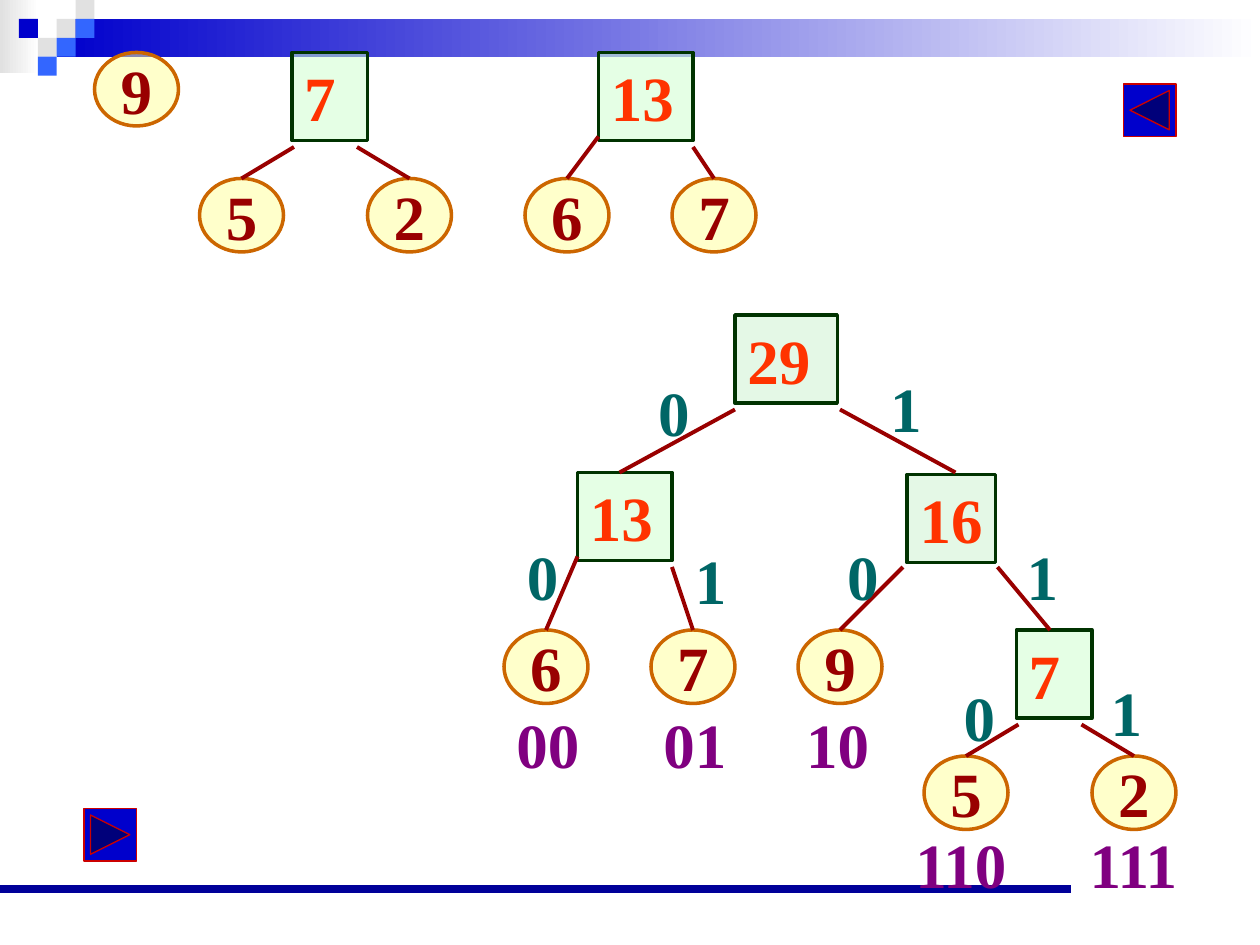
from lxml import etree
from pptx import Presentation
from pptx import util as u
from pptx.dml.color import RGBColor
from pptx.enum import shapes, text
from pptx.oxml import ns

WHITE = RGBColor(0xFF, 0xFF, 0xFF)
PALE = RGBColor(0xE1, 0xE1, 0xE1)
BLUE = RGBColor(0x00, 0x00, 0xCC)
SKY = RGBColor(0x33, 0x66, 0xFF)
NAVY = RGBColor(0x00, 0x00, 0x99)
CREAM = RGBColor(0xFF, 0xFF, 0x99)
AMBER = RGBColor(0xCC, 0x66, 0x00)
MINT = RGBColor(0xCC, 0xFF, 0xCC)
SAGE = RGBColor(0xCA, 0xF2, 0xCE)
PINE = RGBColor(0x00, 0x33, 0x00)
WINE = RGBColor(0x99, 0x00, 0x00)
RED = RGBColor(0xCC, 0x00, 0x00)
FLAME = RGBColor(0xFF, 0x33, 0x00)
TEAL = RGBColor(0x00, 0x66, 0x66)
PLUM = RGBColor(0x80, 0x00, 0x80)

FONT = {"name": "Times New Roman", "size": u.Pt(36), "bold": True}
FIT = text.MSO_AUTO_SIZE.SHAPE_TO_FIT_TEXT
KIND = shapes.MSO_SHAPE

deck = Presentation()
deck.slide_width, deck.slide_height = u.Inches(10), u.Inches(7.5)
slide = deck.slides.add_slide(deck.slide_layouts[6])
cell = deck.slide_width / 120


def draw(kind, spot, fill, edge=None, width=2, alpha=None):
    item = slide.shapes.add_shape(kind, *[round(n * cell) for n in spot])
    item.shadow.inherit = False
    item.fill.solid()
    item.fill.fore_color.rgb = fill
    if alpha:
        tint = item._element.spPr.find(".//" + ns.qn("a:srgbClr"))
        etree.SubElement(tint, ns.qn("a:alpha"), val=str(alpha * 1000))
    if edge is None:
        item.line.fill.background()
    else:
        item.line.color.rgb = edge
        item.line.width = u.Pt(width)
    return item


def write(item, words, ink, **form):
    frame = item.text_frame
    for key, val in form.items():
        setattr(frame, key, val)
    para = frame.paragraphs[0]
    mid = form.get("vertical_anchor") == text.MSO_ANCHOR.MIDDLE
    para.alignment = text.PP_ALIGN.CENTER if mid else text.PP_ALIGN.LEFT
    run = para.add_run()
    run.text = words
    for key, val in FONT.items():
        setattr(run.font, key, val)
    run.font.color.rgb = ink


for spot, tone in (((0, 0, 3.7, 7), PALE), ((5.4, 1.8, 114.6, 3.6), BLUE)):
    band = draw(KIND.RECTANGLE, spot, tone)
    band.fill.gradient()
    band.fill.gradient_angle = 0
    for stop, hue, place in zip(band.fill.gradient_stops, (tone, WHITE), (0, 1)):
        stop.color.rgb = hue
        stop.position = place

side = 1.8
for col, row, tone in ((3, 1, PALE), (4, 0, PALE), (4, 1, SKY), (2, 2, PALE),
                       (1, 1, BLUE), (3, 2, SKY), (2, 3, SKY)):
    draw(KIND.RECTANGLE, (col * side, row * side, side, side), tone)

leaves = [("9", 9, 5), ("9", 76, 60)]
boxes = [("16", 86.4, 45.2, 8.4, SAGE), ("29", 70, 30, 9.75, SAGE)]
links = [(0, 84.7, 102, 84.7, NAVY, 4.5)]
edges = [(86, 54, 80, 60), (95, 54, 100, 60), (70, 39, 59, 45), (80, 39, 91, 45)]

for x, y in ((0, 0), (69, 55)):
    boxes.append(("7", 27.8 + x, 5 + y, 7.2, MINT))
    leaves += [("5", 19 + x, 17 + y), ("2", 35 + x, 17 + y)]
    edges += [(28 + x, 14 + y, 23 + x, 17 + y), (34 + x, 14 + y, 39 + x, 17 + y)]

for x, y, low in ((0, 0, 17), (-2, 40, 60)):
    boxes.append(("13", 57 + x, 5 + y, 9, MINT))
    leaves += [("6", 50 + x, low), ("7", 64 + x, low)]
    edges += [(57 + x, 13 + y, 54 + x, low), (66 + x, 14 + y, 68 + x, low)]

for words, x, y in leaves:
    leaf = draw(KIND.OVAL, (x, y, 8, 7), CREAM, AMBER, alpha=50)
    write(leaf, words, WINE, word_wrap=False, vertical_anchor=text.MSO_ANCHOR.MIDDLE)

for words, x, y, wide, tone in boxes:
    box = draw(KIND.RECTANGLE, (x, y, wide, 8.4), tone, PINE, alpha=50)
    write(box, words, FLAME, word_wrap=words != "16", auto_size=FIT,
          vertical_anchor=text.MSO_ANCHOR.TOP)

links += [(*ends, WINE, 2.25) for ends in edges]
for *ends, tone, width in links:
    link = slide.shapes.add_connector(shapes.MSO_CONNECTOR.STRAIGHT,
                                      *[round(n * cell) for n in ends])
    link.line.color.rgb = tone
    link.line.width = u.Pt(width)
    etree.SubElement(link._element.spPr, ns.qn("a:effectLst"))

bits = [("0", 61.5, 35), ("0", 49, 50.6), ("0", 79.5, 50.6), ("0", 90.6, 64),
        ("1", 83.6, 34.6), ("1", 65, 51), ("1", 96.6, 50.6), ("1", 104.6, 63.6)]
codes = [("00", 48, 66.6), ("01", 62, 66.6), ("10", 75.6, 66.6),
         ("110", 86, 78), ("111", 102.6, 78)]
for group, ink in ((bits, TEAL), (codes, PLUM)):
    for words, x, y in group:
        spot = (x, y, 2.4 + 3 * len(words), 8.4)
        label = slide.shapes.add_textbox(*[round(n * cell) for n in spot])
        write(label, words, ink, word_wrap=False, auto_size=FIT)

for kind, x, y in ((KIND.ACTION_BUTTON_BACK_OR_PREVIOUS, 107, 8),
                   (KIND.ACTION_BUTTON_FORWARD_OR_NEXT, 8, 77)):
    draw(kind, (x, y, 5, 5), BLUE, RED, 0.75)

deck.save("out.pptx")
